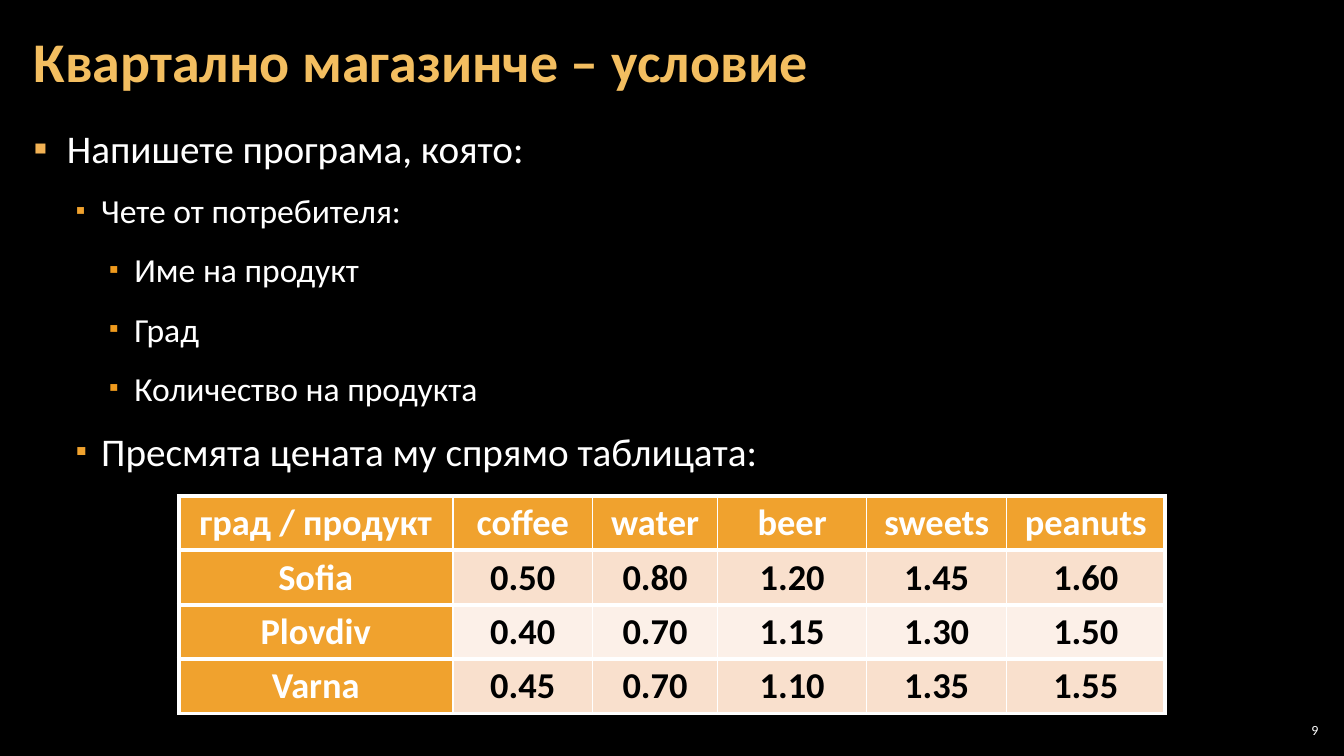
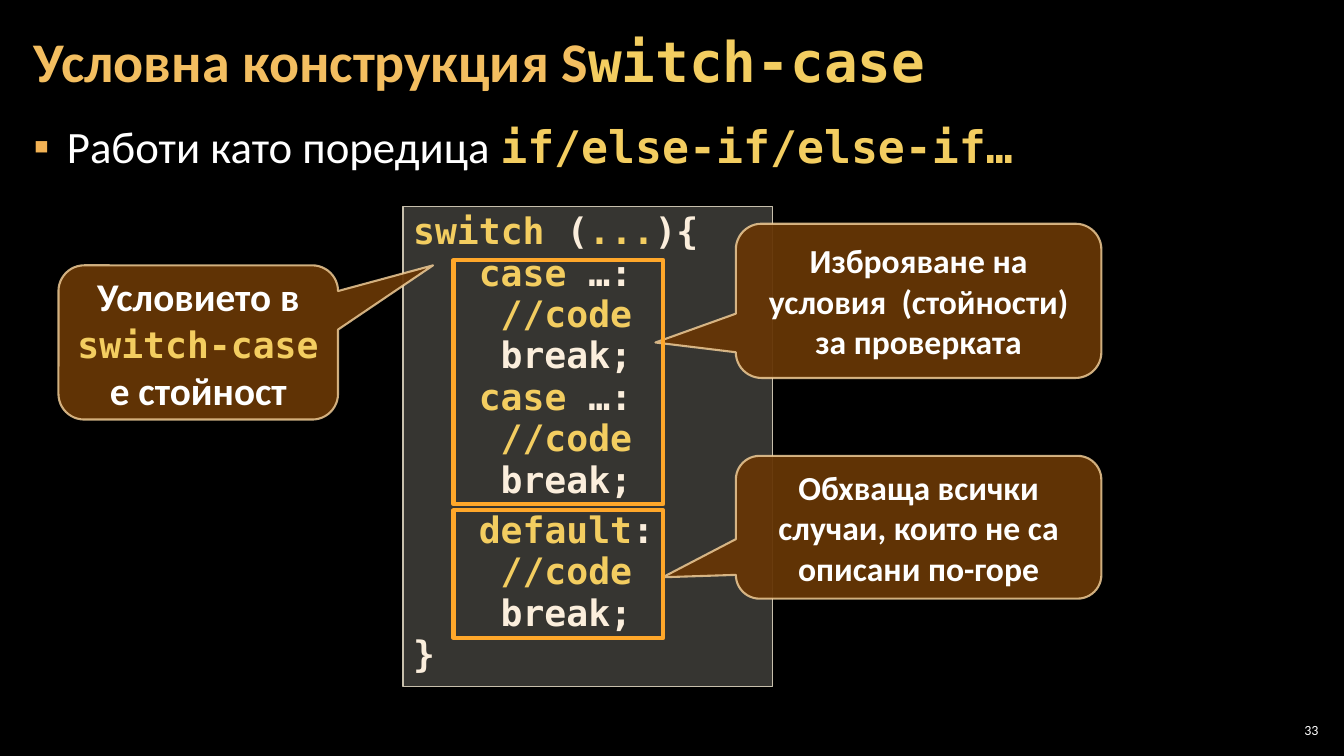
from lxml.etree import SubElement
from pptx import Presentation
from pptx.dml.color import RGBColor
from pptx.enum.shapes import MSO_SHAPE
from pptx.enum.text import MSO_ANCHOR, MSO_AUTO_SIZE, PP_ALIGN
from pptx.oxml.ns import qn
from pptx.util import Emu, Inches, Pt

WIDTH, HEIGHT = Inches(13.33), Inches(7.5)
SANS, MONO = "Calibri", "DejaVu Sans Mono"
COLOURS = {
    "black": "000000", "white": "FFFFFF", "title": "F3BE60",
    "keyword": "F3CD60", "code": "FBEEDC", "panel": "D9D5C7",
    "panel line": "C7BFAC", "callout": "663606", "callout line": "F8D49E",
    "frame": "FFA72A", "header": "F0A22E", "band": "F9E0CD",
    "light band": "FCF0E8",
}
BULLETS = [("F2B254", 100), ("F0A22E", 80), ("EF9A1D", 80)]
BULLET_INDENTS = [(0.33, -0.33), (0.67, -0.25), (1, -0.25)]
STYLES = {
    "title": (SANS, 40, "title", True),
    "title code": (MONO, 40, "keyword", True),
    "number": (SANS, 10, "white", False),
    "body": (SANS, 28, "white", False),
    "small body": (SANS, 24, "white", False),
    "large body": (SANS, 32, "white", False),
    "body code": (MONO, 32, "keyword", True),
    "keyword": (MONO, 26, "keyword", True),
    "code": (MONO, 26, "code", True),
    "header": (SANS, 26, "white", True),
    "value": (SANS, 26, "black", True),
    "callout": (SANS, 24, "white", True),
    "large callout": (SANS, 28, "white", True),
}
CODE_CHARACTER = 0.217
TABLE_COLUMNS = [20.4, 10.4, 9.3, 11.1, 10.4, 11.8]
TABLE_ROW = 7.2
PRICES = [
    ["град / продукт", "coffee", "water", "beer", "sweets", "peanuts"],
    ["Sofia", "0.50", "0.80", "1.20", "1.45", "1.60"],
    ["Plovdiv", "0.40", "0.70", "1.15", "1.30", "1.50"],
    ["Varna", "0.45", "0.70", "1.10", "1.35", "1.55"],
]
CASE_LINES = [
    (3, [("case", "keyword"), (" …:", "code")]),
    (4, [("//code", "keyword")]),
    (4, [("break;", "code")]),
]
CODE_LINES = [
    (0, [("switch", "keyword"), (" (", "code"), ("...", "keyword"), ("){", "code")]),
    *CASE_LINES,
    *CASE_LINES,
    (3, [("default", "keyword"), (":", "code")]),
    *CASE_LINES[1:],
    (0, [("}", "code")]),
]
LAST_CASE_LINE = 2 * len(CASE_LINES)


def colour(name):
    return RGBColor.from_string(COLOURS[name])


def across(percent):
    return Emu(round(WIDTH * percent / 100))


def down(percent):
    return Emu(round(HEIGHT * percent / 100))


def place(left, top, width, height):
    return across(left), down(top), across(width), down(height)


def move(shape, area):
    shape.left, shape.top, shape.width, shape.height = place(*area)


def add_spans(para, spans):
    for text, style in spans:
        span = para.add_run()
        span.text = text
        font = span.font
        font.name, size, shade, font.bold = STYLES[style]
        font.size = Pt(size)
        font.color.rgb = colour(shade)


def set_frame(frame, horizontal, vertical, anchor):
    frame.word_wrap = True
    frame.auto_size = MSO_AUTO_SIZE.NONE
    frame.vertical_anchor = anchor
    frame.margin_left = frame.margin_right = Inches(horizontal)
    frame.margin_top = frame.margin_bottom = Inches(vertical)


def next_para(frame, index):
    return frame.add_paragraph() if index else frame.paragraphs[0]


def set_indent(para, margin, first_line):
    properties = para._p.get_or_add_pPr()
    properties.set("marL", str(Inches(margin)))
    properties.set("indent", str(Inches(first_line)))
    return properties


def add_bullet(para, level):
    shade, size = BULLETS[level]
    properties = set_indent(para, *BULLET_INDENTS[level])
    bullet_colour = SubElement(properties, qn("a:buClr"))
    SubElement(bullet_colour, qn("a:srgbClr"), val=shade)
    SubElement(properties, qn("a:buSzPct"), val=str(size * 1000))
    SubElement(properties, qn("a:buFont"), typeface=SANS)
    SubElement(properties, qn("a:buChar"), char="▪")


def set_opacity(fill_parent, percent):
    for shade in fill_parent.iterfind(qn("a:solidFill") + "/" + qn("a:srgbClr")):
        SubElement(shade, qn("a:alpha"), val=str(percent * 1000))


def add_page(deck, number, title):
    page = deck.slides.add_slide(deck.slide_layouts[1])
    move(page.shapes.title, (1.6, 0.5, 78.5, 16.1))
    frame = page.shapes.title.text_frame
    set_frame(frame, 0.12, 0.04, MSO_ANCHOR.MIDDLE)
    para = frame.paragraphs[0]
    para.alignment = PP_ALIGN.LEFT
    para.line_spacing = 0.9
    add_spans(para, title)
    box = page.shapes.add_textbox(*place(94.9, 95.2, 3.5, 2.8))
    set_frame(box.text_frame, 0.04, 0.04, MSO_ANCHOR.MIDDLE)
    para = box.text_frame.paragraphs[0]
    para.alignment = PP_ALIGN.RIGHT
    add_spans(para, [(number, "number")])
    return page


def fill_body(page, area, items, line_spacing):
    body = page.placeholders[1]
    move(body, area)
    set_frame(body.text_frame, 0.12, 0.04, MSO_ANCHOR.TOP)
    for index, (level, spans) in enumerate(items):
        para = next_para(body.text_frame, index)
        para.level = level
        para.line_spacing = line_spacing
        para.space_before = para.space_after = Pt(6)
        add_bullet(para, level)
        add_spans(para, spans)


def set_borders(cell, widths):
    properties = cell._tc.get_or_add_tcPr()
    for index, (side, width) in enumerate(zip("LRTB", widths)):
        line = properties.makeelement(qn(f"a:ln{side}"), {"w": str(Pt(width))})
        fill = SubElement(line, qn("a:solidFill"))
        SubElement(fill, qn("a:srgbClr"), val=COLOURS["white"])
        properties.insert(index, line)


def add_price_table(page, left, top):
    rows, columns = len(PRICES), len(TABLE_COLUMNS)
    area = place(left, top, sum(TABLE_COLUMNS), rows * TABLE_ROW)
    table = page.shapes.add_table(rows, columns, *area).table
    for column, width in zip(table.columns, TABLE_COLUMNS):
        column.width = across(width)
    for row_index, prices in enumerate(PRICES):
        table.rows[row_index].height = down(TABLE_ROW)
        for column_index, text in enumerate(prices):
            cell = table.cell(row_index, column_index)
            heading = row_index == 0 or column_index == 0
            band = "band" if row_index % 2 else "light band"
            cell.fill.solid()
            cell.fill.fore_color.rgb = colour("header" if heading else band)
            cell.vertical_anchor = MSO_ANCHOR.MIDDLE
            cell.margin_left = cell.margin_right = Inches(0.07)
            cell.margin_top = cell.margin_bottom = 0
            para = cell.text_frame.paragraphs[0]
            para.alignment = PP_ALIGN.CENTER
            add_spans(para, [(text, "header" if heading else "value")])
            left_line = 3 if column_index == 0 else 1
            right_line = 3 if column_index == columns - 1 else 1
            set_borders(cell, (left_line, right_line, 3, 3))


def add_outlined(page, kind, area, line, line_width, fill=None, opacity=100):
    shape = page.shapes.add_shape(kind, *place(*area))
    shape.shadow.inherit = False
    shape.line.color.rgb = colour(line)
    shape.line.width = Pt(line_width)
    if fill:
        shape.fill.solid()
        shape.fill.fore_color.rgb = colour(fill)
        set_opacity(shape._element.spPr, opacity)
    else:
        shape.fill.background()
    return shape


def add_code(page, area):
    panel = add_outlined(page, MSO_SHAPE.RECTANGLE, area, "panel line", 1, "panel", 25)
    set_frame(panel.text_frame, 0.1, 0.05, MSO_ANCHOR.TOP)
    for index, (characters, spans) in enumerate(CODE_LINES):
        para = next_para(panel.text_frame, index)
        para.alignment = PP_ALIGN.LEFT
        para.line_spacing = 0.95
        para.space_after = Pt(6 if index == LAST_CASE_LINE else 0)
        set_indent(para, characters * CODE_CHARACTER, 0)
        add_spans(para, spans)


def add_callout(page, area, tip, spans):
    kind = MSO_SHAPE.ROUNDED_RECTANGULAR_CALLOUT
    callout = add_outlined(page, kind, area, "callout line", 1.5, "callout", 95)
    set_opacity(callout.line._get_or_add_ln(), 80)
    callout.adjustments[0], callout.adjustments[1] = tip
    set_frame(callout.text_frame, 0.1, 0.05, MSO_ANCHOR.MIDDLE)
    para = callout.text_frame.paragraphs[0]
    para.alignment = PP_ALIGN.CENTER
    add_spans(para, spans)


def add_shop_page(deck):
    page = add_page(deck, "9", [("Квартално магазинче – условие", "title")])
    fill_body(page, (1.6, 15.6, 96.8, 79.6), [
        (0, [("Напишете програма, която:", "body")]),
        (1, [("Чете от потребителя:", "small body")]),
        (2, [("Име на продукт", "small body")]),
        (2, [("Град", "small body")]),
        (2, [("Количество на продукта", "small body")]),
        (1, [("Пресмята цената му спрямо таблицата:", "body")]),
    ], 1.05)
    add_price_table(page, 13.3, 65.6)


def add_switch_page(deck):
    page = add_page(deck, "33", [
        ("Условна конструкция S", "title"), ("witch-case", "title code"),
    ])
    fill_body(page, (1.6, 15.2, 96.8, 81.2), [
        (0, [("Работи като поредица ", "large body"),
             ("if/else-if/else-if…", "body code")]),
    ], 1.0)
    add_code(page, (30, 27.3, 27.5, 63.5))
    add_callout(page, (4.35, 35.1, 20.8, 20.4), (0.84, -0.5), [
        ("Условието в ", "large callout"), ("switch-case", "keyword"),
        (" е стойност", "large callout"),
    ])
    add_callout(page, (54.75, 29.6, 27.2, 20.4), (-0.72, 0.27), [
        ("Изброяване на условия  (стойности) за проверката", "callout"),
    ])
    add_callout(page, (54.75, 60.3, 27.2, 18.9), (-0.7, 0.35), [
        ("Обхваща всички случаи, които не са описани по-горе", "callout"),
    ])
    for top, height in [(34.4, 32.3), (67.5, 16.9)]:
        area = (33.75, top, 15.6, height)
        add_outlined(page, MSO_SHAPE.RECTANGLE, area, "frame", 3)


def main():
    deck = Presentation()
    deck.slide_width, deck.slide_height = WIDTH, HEIGHT
    background = deck.slide_master.background.fill
    background.solid()
    background.fore_color.rgb = colour("black")
    add_shop_page(deck)
    add_switch_page(deck)
    deck.save("out.pptx")


if __name__ == "__main__":
    main()
